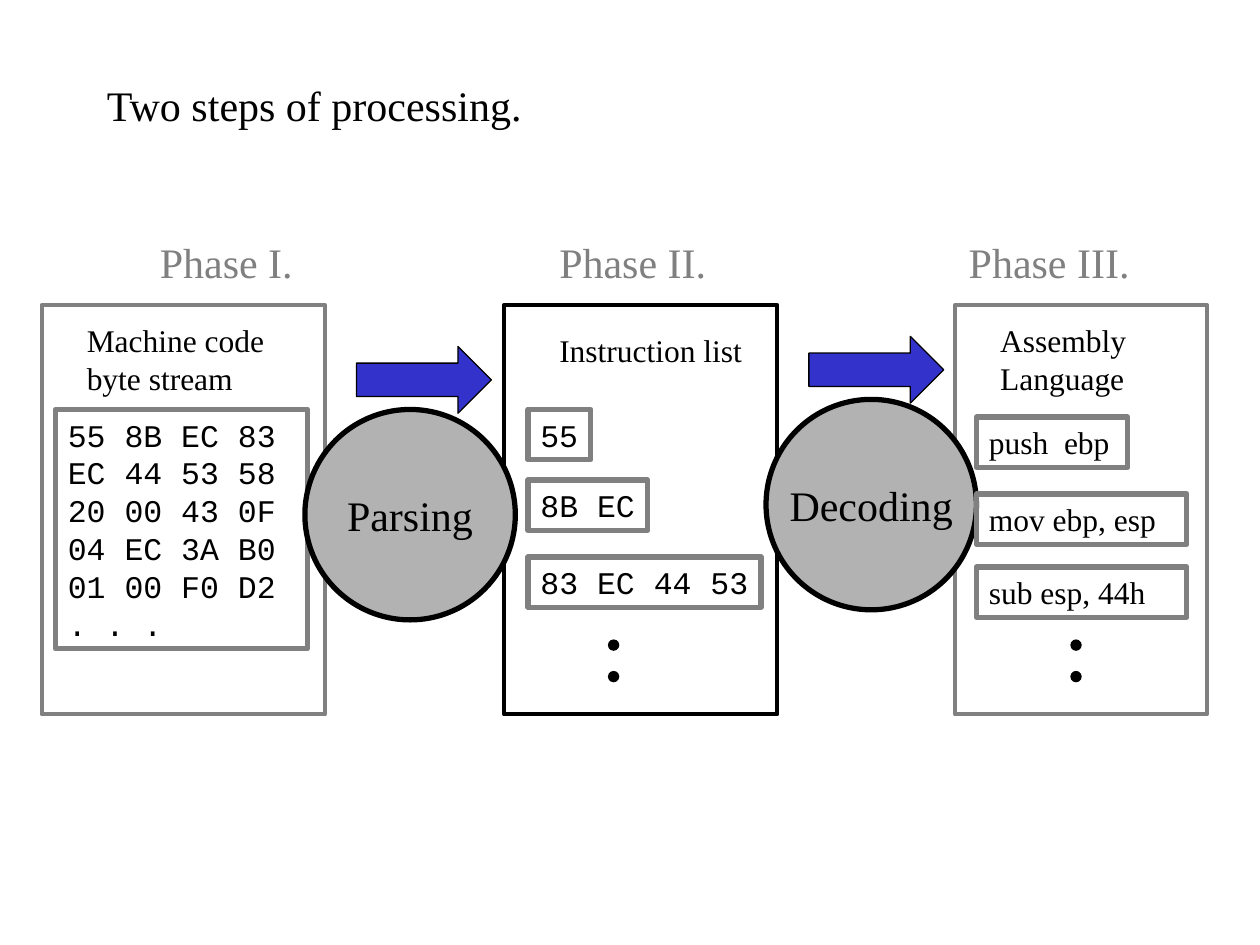
from pptx import Presentation
from pptx.dml.color import RGBColor as RGB
from pptx.enum.shapes import MSO_SHAPE as Kind
from pptx.enum.text import MSO_ANCHOR as Anchor, MSO_AUTO_SIZE as Fit, PP_ALIGN as Align
from pptx.util import Pt
from dataclasses import dataclass

SCALE = 9144


@dataclass(frozen=True)
class Theme:
    ink: str = "000000"
    gray: str = "808080"
    disk: str = "B2B2B2"
    blue: str = "3333CC"
    white: str = "FFFFFF"
    serif: str = "Times New Roman"
    mono: str = "Courier New"
    big: int = 24
    body: int = 18
    thin: float = 0.75
    edge: float = 2.25
    bold: float = 3


LOOK = Theme()


def px(*nums):
    return [n * SCALE for n in nums]


def write(shape, text, size=LOOK.body, font=LOOK.serif, color=LOOK.ink,
          align=Align.LEFT, anchor=Anchor.TOP, wrap=False, fit=Fit.SHAPE_TO_FIT_TEXT):
    frame = shape.text_frame
    frame.text = text
    frame.word_wrap = wrap
    frame.auto_size = fit
    frame.vertical_anchor = anchor
    for para in frame.paragraphs:
        para.alignment = align
        for run in para.runs:
            run.font.size = Pt(size)
            run.font.name = font
            run.font.color.rgb = RGB.from_string(color)


def label(slide, box, text, **style):
    write(slide.shapes.add_textbox(*px(*box)), text, **style)


def draw(slide, kind, box, fill=None, line=LOOK.ink, width=LOOK.thin):
    shape = slide.shapes.add_shape(kind, *px(*box))
    shape.shadow.inherit = False
    if fill:
        shape.fill.solid()
        shape.fill.fore_color.rgb = RGB.from_string(fill)
    else:
        shape.fill.background()
    shape.line.color.rgb = RGB.from_string(line)
    shape.line.width = Pt(width)
    return shape


def code(slide, box, text, **style):
    shape = draw(slide, Kind.RECTANGLE, box, line=LOOK.gray, width=LOOK.bold)
    write(shape, text, **style)


def phase(slide, box, line, name, head):
    x, y, _, _ = box
    draw(slide, Kind.RECTANGLE, box, LOOK.white, line, LOOK.edge)
    for text, (dx, dy, w, h), style in (
            (*name, dict(size=LOOK.big, color=LOOK.gray, wrap=True)), (*head, {})):
        label(slide, (x + dx, y + dy, w, h), text, **style)


def step(slide, box, name, shift):
    x, y, _, _ = box
    draw(slide, Kind.RIGHT_ARROW, (x + shift, y - 50, 107, 53), LOOK.blue)
    disk = draw(slide, Kind.OVAL, box, LOOK.disk, width=LOOK.bold)
    write(disk, name, size=LOOK.big, align=Align.CENTER,
          anchor=Anchor.MIDDLE, fit=Fit.NONE)


def column(slide, box, inset, rows, dot, **style):
    x, y, _, _ = box
    for text, dy, width in rows:
        code(slide, (x + inset, y + dy, width, 40), text, **style)
    for dy in (266, 291):
        draw(slide, Kind.OVAL, (x + dot, y + dy, 8, 8), LOOK.ink)


def main():
    deck = Presentation()
    deck.slide_width, deck.slide_height = px(1000, 750)
    slide = deck.slides.add_slide(deck.slide_layouts[6])
    label(slide, (75, 58, 351, 50), "Two steps of processing.", size=LOOK.big)

    first, mid, last = (33, 242, 225, 325), (400, 242, 217, 325), (758, 242, 200, 325)
    phase(slide, first, LOOK.gray, ("Phase I.", (84, -59, 131, 50)),
          ("Machine code\nbyte stream", (26, 8, 161, 70)))
    phase(slide, mid, LOOK.ink, ("Phase II.", (34, -59, 142, 50)),
          ("Instruction list", (34, 16, 165, 40)))
    phase(slide, last, LOOK.gray, ("Phase III.", (1, -59, 153, 50)),
          ("Assembly\nLanguage", (26, 8, 120, 70)))

    stream = ("55 8B EC 83", "EC 44 53 58", "20 00 43 0F",
              "04 EC 3A B0", "01 00 F0 D2", ". . .")
    code(slide, (44, 325, 200, 190), "\n".join(stream), font=LOOK.mono)
    step(slide, (242, 325, 167, 167), "Parsing", 41)
    step(slide, (608, 317, 167, 167), "Decoding", 34)
    column(slide, mid, 19, (("55", 83, 50), ("8B EC", 139, 95),
                            ("83 EC 44 53", 200, 185)), 83, font=LOOK.mono)
    column(slide, last, 17, (("push  ebp", 89, 120), ("mov ebp, esp", 150, 167),
                             ("sub esp, 44h", 208, 167)), 92, wrap=True)
    deck.save("out.pptx")


if __name__ == "__main__":
    main()
